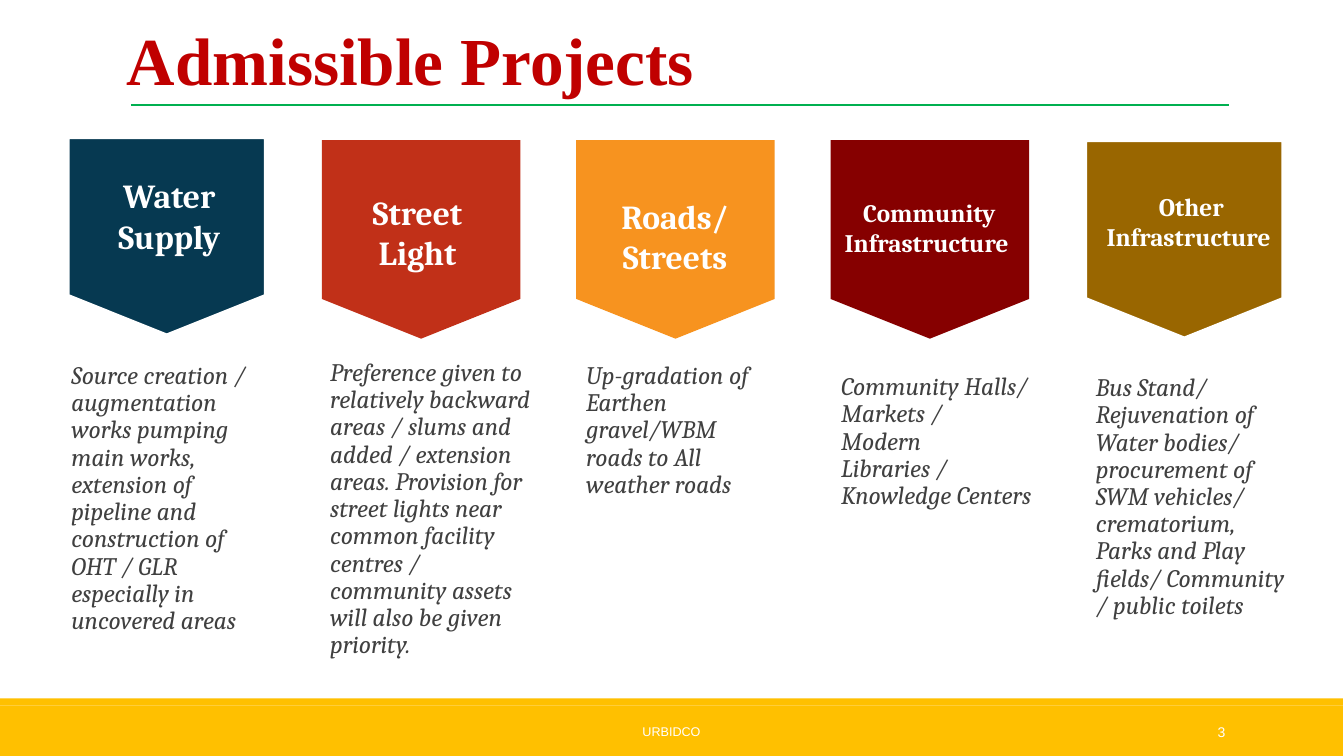
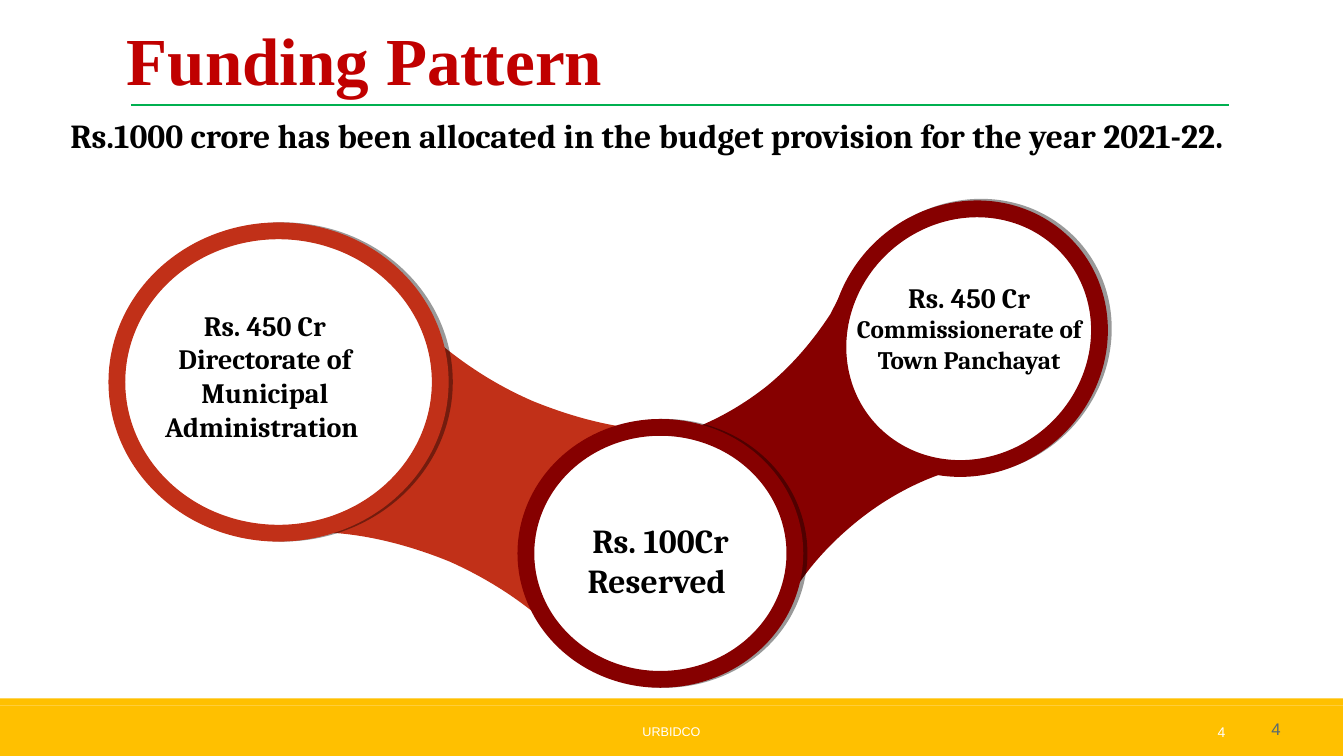
from lxml import etree
from pptx import Presentation
from pptx import util as u
from pptx.dml.color import RGBColor
from pptx.enum import shapes, text
from pptx.oxml.ns import qn

Inches, Pt = u.Inches, u.Pt
auto, pos = shapes.MSO_SHAPE, text.PP_ALIGN
hues = {
    "band": "FFC000", "rule": "00B050", "title": "C00000", "white": "FFFFFF",
    "black": "000000", "body": "404040", "grey": "576973", "navy": "063951",
    "red": "C13018", "orange": "F7931F", "wine": "860000", "brown": "996600",
}


def form(slide, kind, area, fill, line=None, width=0):
    """Add a plain preset shape."""
    item = slide.shapes.add_shape(kind, *map(Inches, area))
    item.shadow.inherit = False
    item.fill.solid()
    item.fill.fore_color.rgb = RGBColor.from_string(hues[fill])
    if line:
        item.line.color.rgb = RGBColor.from_string(hues[line])
        item.line.width = Pt(width)
    else:
        item.line.fill.background()
    return item


def write(slide, area, lines, size, hue, face="Cambria", align=pos.LEFT,
          bold=False, slant=False, space=None, mid=False):
    """Add a text box; each line is text, or a list of (text, size) runs."""
    frame = slide.shapes.add_textbox(*map(Inches, area)).text_frame
    frame.word_wrap = True
    frame.vertical_anchor = text.MSO_ANCHOR.MIDDLE if mid else text.MSO_ANCHOR.TOP
    for i, line in enumerate(lines):
        para = frame.paragraphs[0] if i == 0 else frame.add_paragraph()
        para.alignment = align
        if space:
            para.line_spacing = space
        for words, pts in [(line, size)] if isinstance(line, str) else line:
            run = para.add_run()
            run.text = words
            font = run.font
            font.name, font.size, font.bold, font.italic = face, Pt(pts), bold, slant
            font.color.rgb = RGBColor.from_string(hues[hue])


deck = Presentation()
deck.slide_width, deck.slide_height = Inches(13.34), Inches(7.5)

# Shared frame: bands, rule, footer, number, title
pages = []
for num, title in enumerate(["Admissible Projects", "Funding Pattern"], 3):
    page = deck.slides.add_slide(deck.slide_layouts[6])
    form(page, auto.RECTANGLE, (0, 7, 13.33, 0.5), "band")
    form(page, auto.RECTANGLE, (0, 6.93, 13.33, 0.07), "band")
    rule = page.shapes.add_connector(
        shapes.MSO_CONNECTOR.STRAIGHT,
        Inches(1.3), Inches(1.04), Inches(12.2), Inches(1.04))
    rule.line.color.rgb = RGBColor.from_string(hues["rule"])
    rule.line.width = Pt(1.5)
    etree.SubElement(rule.element.spPr, qn("a:effectLst"))
    write(page, (4.03, 7.06, 5.27, 0.4), ["URBIDCO"], 9, "white", "Arial",
          pos.CENTER, mid=True)
    write(page, (10.83, 7.06, 1.43, 0.4), [str(num)], 10, "white", "Arial",
          pos.RIGHT, mid=True)
    write(page, (1.16, 0.26, 10.29, 0.8), [title], 48, "title",
          "Times New Roman", bold=True, space=0.85)
    pages.append(page)
works, funds = pages

# Project columns: fill, outline, top, label area, size, label, note area, note
cols = [
    ("navy", "white", 1.36, (0.87, 1.69, 1.62), 24, ["Water Supply"],
     (0.61, 3.55, 2.09),
     ["Source creation / augmentation works pumping main works, extension of "
      "pipeline and construction of OHT / GLR especially in uncovered areas"]),
    ("red", None, 1.39, (3.37, 1.85, 1.62), 24, ["Street ", "Light "],
     (3.18, 3.52, 2.23),
     ["Preference given to relatively backward areas / slums and added / "
      "extension areas. Provision for street lights near common facility "
      "centres / community assets will also be given priority."]),
    ("orange", None, 1.39, (5.89, 1.89, 1.62), 24, ["Roads/ Streets"],
     (5.72, 3.55, 2.09),
     ["Up-gradation of Earthen gravel/WBM roads to All weather roads"]),
    ("wine", None, 1.39, (8.05, 1.91, 2.35), 18, ["Community Infrastructure "],
     (8.25, 3.66, 2.09),
     ["Community Halls/", "Markets /", "Modern Libraries / Knowledge Centers"]),
    ("brown", "white", 1.39, (10.65, 1.85, 2.35), 18, ["Other Infrastructure "],
     (10.78, 3.67, 2.09),
     ["Bus Stand/ Rejuvenation of Water bodies/ procurement of SWM vehicles/ "
      "crematorium, Parks and Play fields/ Community / public toilets"]),
]
for i, (fill, edge, top, *_) in enumerate(cols):
    form(works, auto.FLOWCHART_OFFPAGE_CONNECTOR,
         (0.67 + 2.525 * i, top, 1.97, 1.97), fill, edge, 3)
for *_, place, note in cols:
    write(works, (*place, 2.97), note, 18, "body", slant=True, space=0.9)
for _, _, _, spot, size, label, _, _ in cols:
    write(works, (*spot, 0.88), label, size, "white", align=pos.CENTER, bold=True)

# Bridges between circles: two numbers are a corner, six a cubic curve
bridges = [
    ("wine", [
        (8.4, 2.81), (8.39, 2.85), (8.38, 3.28, 8.5, 3.71, 8.78, 4.05),
        (9, 4.33, 9.29, 4.52, 9.61, 4.63), (9.62, 4.63), (9.35, 4.7),
        (9.06, 4.8, 8.77, 4.96, 8.51, 5.17), (8.25, 5.38, 8.03, 5.62, 7.87, 5.88),
        (7.78, 6.03), (7.75, 5.74), (7.7, 5.47, 7.58, 5.22, 7.41, 5),
        (7.16, 4.69, 6.83, 4.48, 6.45, 4.38), (6.44, 4.38), (6.75, 4.3),
        (7.05, 4.2, 7.33, 4.05, 7.6, 3.84), (7.86, 3.63, 8.07, 3.38, 8.24, 3.12)]),
    ("red", [
        (6.81, 4.3), (6.79, 4.31, 6.78, 4.27, 6.76, 4.28),
        (6.31, 4.48, 5.95, 4.82, 5.75, 5.27), (5.6, 5.64, 5.57, 6.03, 5.64, 6.41),
        (5.65, 6.42), (5.42, 6.18), (5.15, 5.94, 4.82, 5.73, 4.46, 5.57),
        (4.09, 5.42, 3.71, 5.32, 3.35, 5.29), (3.14, 5.28), (3.43, 5.1),
        (3.67, 4.91, 3.87, 4.67, 3.99, 4.38), (4.17, 3.97, 4.18, 3.53, 4.07, 3.1),
        (4.06, 3.09), (4.32, 3.37), (4.6, 3.61, 4.92, 3.82, 5.29, 3.98),
        (5.66, 4.13, 6.03, 4.23, 6.39, 4.26), (6.53, 4.26, 6.67, 4.3, 6.81, 4.3)]),
]
for hue, path in bridges:
    ends = [(Inches(part[-2]), Inches(part[-1])) for part in path]
    pen = funds.shapes.build_freeform(*ends[0])
    pen.add_line_segments(ends[1:], close=True)
    bridge = pen.convert_to_shape()
    bridge.shadow.inherit = False
    bridge.fill.solid()
    bridge.fill.fore_color.rgb = RGBColor.from_string(hues[hue])
    bridge.line.fill.background()
    # Bend the straight segments that have control points
    segs = list(bridge.element.iter(qn("a:lnTo")))
    for seg, part in zip(segs, path[1:]):
        if len(part) == 6:
            seg.tag = qn("a:cubicBezTo")
            for n in (0, 2):
                dot = etree.Element(qn("a:pt"),
                                    x=str(Inches(part[n]) - bridge.left),
                                    y=str(Inches(part[n + 1]) - bridge.top))
                seg.insert(n // 2, dot)

# Circles with an offset shadow: area, ring, turn, shadow angle
rings = [
    ((1.16, 2.29, 3.21, 3), "red", 0, 359),
    ((5.22, 4.24, 2.67, 2.5), "wine", 0, 359),
    ((8.28, 2.11, 2.67, 2.5), "wine", 318.5, 337),
]
for area, hue, turn, angle in rings:
    ring = form(funds, auto.OVAL, area, "white", hue, 12)
    ring.rotation = turn
    glow = ring.element.spPr.find(qn("a:effectLst"))
    cast = etree.SubElement(glow, qn("a:outerShdw"), blurRad="0",
                            dist=str(Pt(3)), dir=str(angle * 60000),
                            algn="ctr", rotWithShape="0")
    tint = etree.SubElement(cast, qn("a:srgbClr"), val=hues["black"])
    etree.SubElement(tint, qn("a:alpha"), val="40000")

# Amounts inside the circles
sums = [
    ((5.45, 5.11, 2.21, 0.36), 24, "Rs. 100Cr Reserved "),
    ((1.38, 3.01, 2.5, 0.36), 20,
     "Rs. 450 Cr Directorate of Municipal Administration "),
    ((8.37, 2.73, 2.5, 0.36), 20,
     [("Rs. 450 Cr ", 20), ("Commissionerate of Town Panchayat", 18)]),
]
for area, size, line in sums:
    write(funds, area, [line], size, "black", align=pos.CENTER, bold=True)

# Budget statement and corner number
write(funds, (0.6, 1.09, 12.95, 0.9),
      ["Rs.1000 crore has been allocated in the budget provision for the year 2021-22."],
      24, "black", bold=True)
write(funds, (9.81, 7.07, 3, 0.31), ["4"], 12, "grey", "Arial", pos.RIGHT, mid=True)

deck.save("out.pptx")
